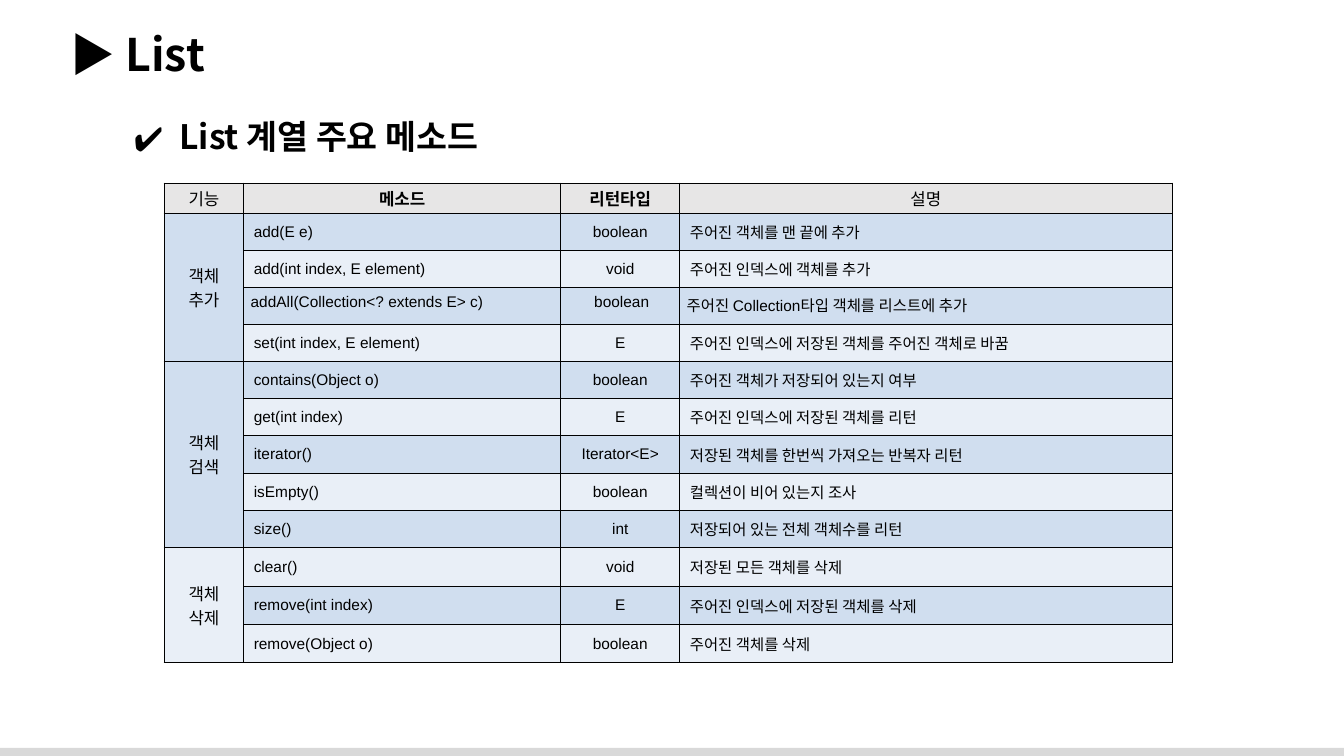
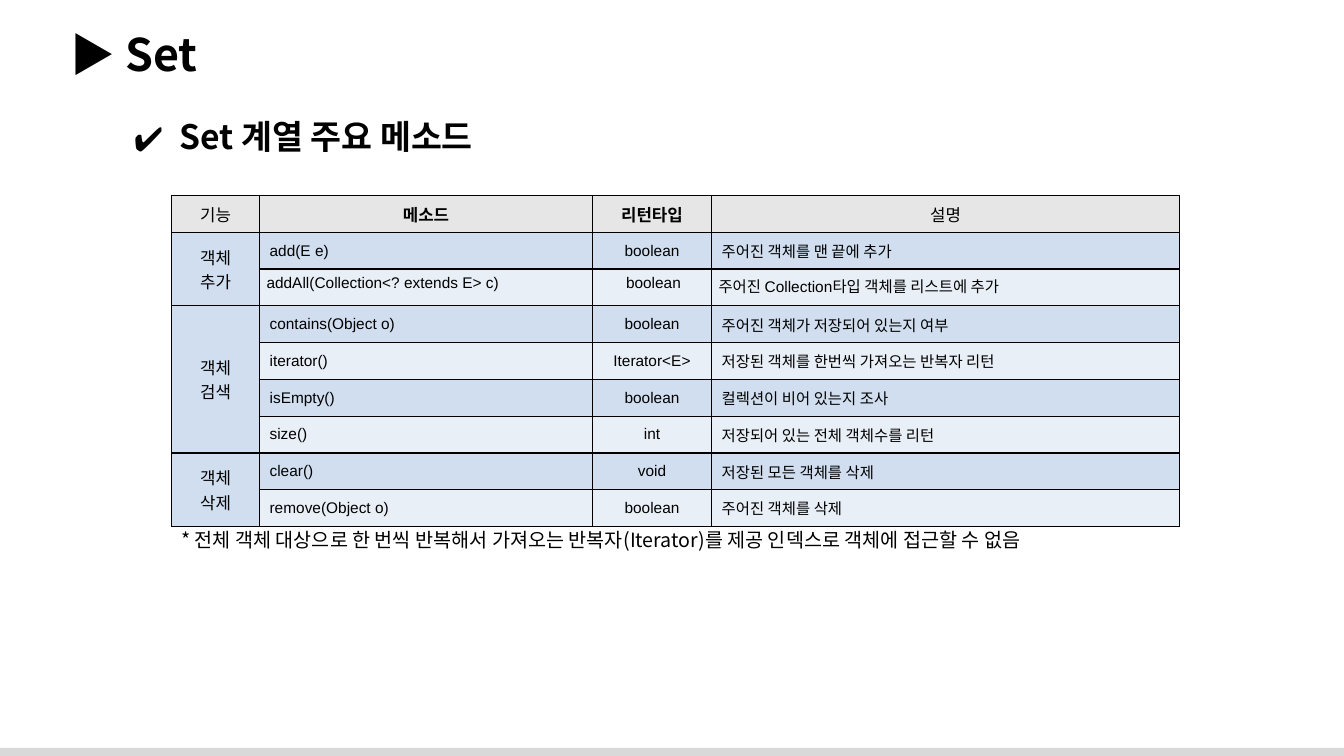
from dataclasses import dataclass

from lxml import etree
from pptx import Presentation
from pptx.dml.color import RGBColor
from pptx.enum import shapes, text
from pptx.oxml import ns
from pptx.util import Pt


@dataclass(frozen=True)
class Theme:
    ink: str = "000000"
    band: str = "D9D9D9"
    header: str = "E7E6E6"
    stripes: tuple = ("D0DEEF", "E9EFF7")
    heading_font: str = "Noto Sans CJK KR"
    table_font: str = "Arial"
    title_size: int = 32
    subtitle_size: int = 24
    note_size: int = 14
    label_size: int = 12
    body_size: int = 11
    border: int = 1
    line_spacing: float = 0.9


THEME = Theme()
LEFT, CENTER = text.PP_ALIGN.LEFT, text.PP_ALIGN.CENTER
TOP, MIDDLE = text.MSO_ANCHOR.TOP, text.MSO_ANCHOR.MIDDLE
BODY_INSETS = (7.2, 3.6, 7.2, 3.6)
HEADER_INSETS = (7.2, 2, 7.2, 2)
COMPACT_INSETS = (5, 4.3, 2.9, 1.4)
HEADERS = ("기능", "메소드", "리턴타입", "설명")
BOLD_HEADERS = ("메소드", "리턴타입")

ADD = ("add(E e)", "boolean", "주어진 객체를 맨 끝에 추가")
ADD_ALL = ("addAll(Collection<? extends E> c)", "boolean",
           "주어진 Collection타입 객체를 리스트에 추가")
CONTAINS = ("contains(Object o)", "boolean", "주어진 객체가 저장되어 있는지 여부")
ITERATE = [
    ("iterator()", "Iterator<E>", "저장된 객체를 한번씩 가져오는 반복자 리턴"),
    ("isEmpty()", "boolean", "컬렉션이 비어 있는지 조사"),
    ("size()", "int", "저장되어 있는 전체 객체수를 리턴"),
]
CLEAR = ("clear()", "void", "저장된 모든 객체를 삭제")
REMOVE = ("remove(Object o)", "boolean", "주어진 객체를 삭제")

LIST_GROUPS = {
    "추가": [
        ADD,
        ("add(int index, E element)", "void", "주어진 인덱스에 객체를 추가"),
        ADD_ALL,
        ("set(int index, E element)", "E", "주어진 인덱스에 저장된 객체를 주어진 객체로 바꿈"),
    ],
    "검색": [
        CONTAINS,
        ("get(int index)", "E", "주어진 인덱스에 저장된 객체를 리턴"),
        *ITERATE,
    ],
    "삭제": [
        CLEAR,
        ("remove(int index)", "E", "주어진 인덱스에 저장된 객체를 삭제"),
        REMOVE,
    ],
}
SET_GROUPS = {
    "추가": [ADD, ADD_ALL],
    "검색": [CONTAINS, *ITERATE],
    "삭제": [CLEAR, REMOVE],
}


def apply(target, values):
    for name, value in values.items():
        setattr(target, name, value)


def add_xml(parent, tag, **attributes):
    return etree.SubElement(parent, ns.qn(tag), attributes)


def write(frame, lines, size, font, bold=False, align=LEFT, spacing=1.0):
    for index, line in enumerate(lines):
        para = frame.add_paragraph() if index else frame.paragraphs[0]
        apply(para, {"alignment": align, "line_spacing": spacing})
        span = para.add_run()
        span.text = line
        apply(span.font, {"size": Pt(size), "bold": bold, "name": font})
        span.font.color.rgb = RGBColor.from_string(THEME.ink)
        add_xml(span._r.get_or_add_rPr(), "a:ea", typeface=THEME.heading_font)


def add_text(page, frame_box, line, size, bold=False):
    box = page.shapes.add_textbox(*map(Pt, frame_box))
    frame = box.text_frame
    apply(frame, {"word_wrap": True, "auto_size": text.MSO_AUTO_SIZE.SHAPE_TO_FIT_TEXT})
    write(frame, [line], size, THEME.heading_font, bold, spacing=THEME.line_spacing)
    return frame.paragraphs[0]


def add_check_bullet(para, indent):
    properties = para._p.get_or_add_pPr()
    properties.set("marL", str(Pt(indent)))
    properties.set("indent", str(-Pt(indent)))
    color = add_xml(properties, "a:buClr")
    add_xml(color, "a:srgbClr", val=THEME.ink)
    add_xml(properties, "a:buFont", typeface=THEME.heading_font)
    add_xml(properties, "a:buChar", char="✔")


def add_borders(cell):
    properties = cell._tc.get_or_add_tcPr()
    for side in "LRTB":
        line = add_xml(properties, f"a:ln{side}", w=str(Pt(THEME.border)))
        fill = add_xml(line, "a:solidFill")
        add_xml(fill, "a:srgbClr", val=THEME.ink)


def style_cell(cell, fill, insets=BODY_INSETS, anchor=MIDDLE):
    add_borders(cell)
    cell.fill.solid()
    cell.fill.fore_color.rgb = RGBColor.from_string(fill)
    sides = ("margin_left", "margin_top", "margin_right", "margin_bottom")
    apply(cell, dict(zip(sides, map(Pt, insets)), vertical_anchor=anchor))


def fill_header(table):
    for column, label in enumerate(HEADERS):
        cell = table.cell(0, column)
        style_cell(cell, THEME.header, HEADER_INSETS)
        write(cell.text_frame, [label], THEME.label_size, THEME.table_font,
              label in BOLD_HEADERS, CENTER)


def fill_method_row(table, row, method):
    stripe = THEME.stripes[(row - 1) % 2]
    compact = method is ADD_ALL
    style_cell(table.cell(row, 0), stripe)
    for column, (value, align) in enumerate(zip(method, (LEFT, CENTER, LEFT)), 1):
        cell = table.cell(row, column)
        style_cell(cell, stripe, COMPACT_INSETS if compact else BODY_INSETS,
                   TOP if compact else MIDDLE)
        write(cell.text_frame, [value], THEME.body_size, THEME.table_font, align=align)


def add_method_table(page, left, top, widths, heights, groups):
    holder = page.shapes.add_table(
        len(heights), len(widths), Pt(left), Pt(top), Pt(sum(widths)), Pt(sum(heights)))
    table = holder.table
    apply(table, {"first_row": False, "horz_banding": False})
    for column, width in zip(table.columns, widths):
        column.width = Pt(width)
    for row, height in zip(table.rows, heights):
        row.height = Pt(height)
    fill_header(table)
    start = 1
    for action, methods in groups.items():
        for row, method in enumerate(methods, start):
            fill_method_row(table, row, method)
        label = table.cell(start, 0)
        label.merge(table.cell(start + len(methods) - 1, 0))
        write(label.text_frame, ["객체", action], THEME.label_size,
              THEME.table_font, align=CENTER)
        start += len(methods)


def add_page(deck, name):
    page = deck.slides.add_slide(deck.slide_layouts[6])
    add_text(page, (43.2, 20.2, 907, 46), f"▶ {name}", THEME.title_size, True)
    subtitle = add_text(page, (88.6, 82.8, 285, 36), f" {name} 계열 주요 메소드",
                        THEME.subtitle_size, True)
    add_check_bullet(subtitle, 27)
    return page


def add_band(deck, page):
    band = page.shapes.add_shape(
        shapes.MSO_SHAPE.RECTANGLE, Pt(-2), Pt(534.2), Pt(964), Pt(8))
    band.shadow.inherit = False
    band.fill.solid()
    band.fill.fore_color.rgb = RGBColor.from_string(THEME.band)
    band.line.fill.background()
    band.element.nvSpPr.cNvPr.set("id", "100")
    deck.slide_master.shapes.element.append(band.element)


def main():
    deck = Presentation()
    apply(deck, {"slide_width": Pt(960), "slide_height": Pt(540)})

    list_page = add_page(deck, "List")
    add_band(deck, list_page)
    list_heights = [21.5] + [26.4] * 4 + [26.7] * 5 + [27.4] * 3
    add_method_table(list_page, 117.3, 130.9, (56.8, 226.5, 85, 351.7),
                     list_heights, LIST_GROUPS)

    set_page = add_page(deck, "Set")
    add_method_table(set_page, 122.5, 139.6, (62.9, 237.9, 85, 334.3),
                     [26.3] * 9, SET_GROUPS)
    add_text(set_page, (122.4, 375.8, 720, 24.5),
             "* 전체 객체 대상으로 한 번씩 반복해서 가져오는 반복자(Iterator)를 제공 인덱스로 객체에 접근할 수 없음",
             THEME.note_size)

    deck.save("out.pptx")


if __name__ == "__main__":
    main()
